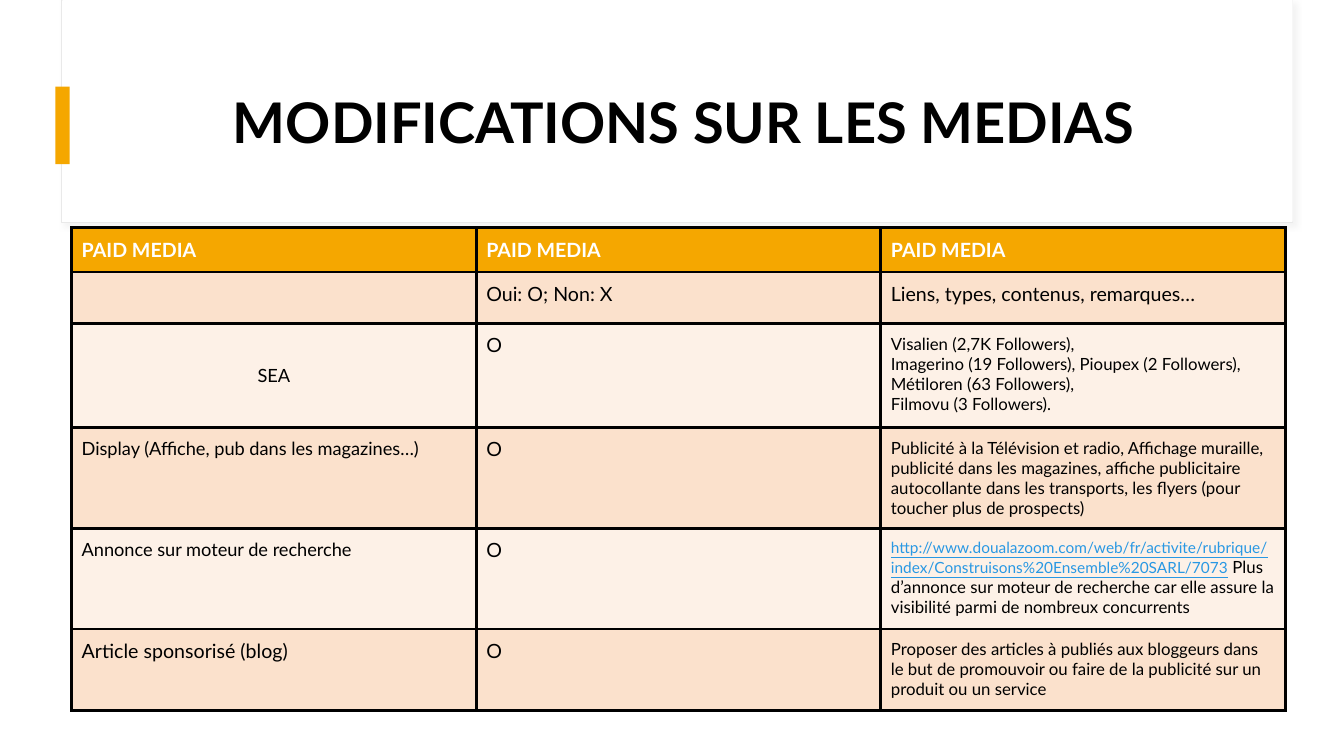
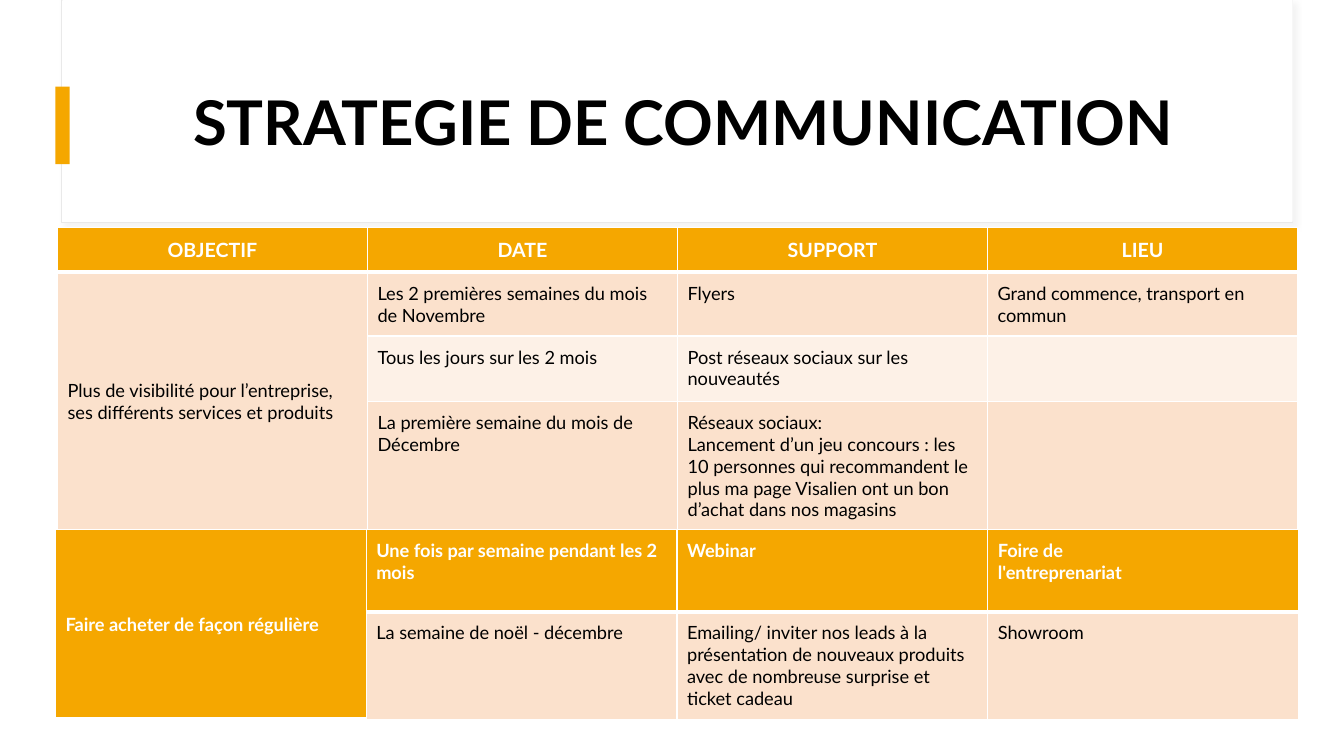
"""Build two slides on paid media and communication strategy, each with a framed title and tables."""
from lxml import etree
from pptx import Presentation
from pptx import util as u
from pptx.dml.color import RGBColor
from pptx.enum import shapes, text
from pptx.oxml.ns import qn

COLORS = {
    "amber": "F5A700", "peach": "FBE1CC", "cream": "FDF1E7", "white": "FFFFFF",
    "black": "000000", "frame": "E9E9E9", "shadow": "D9D9D9", "link": "2998E3",
}
FONT = "Lato"
ROW_STYLES = {
    "head": ("amber", "white", True),
    "dark": ("peach", "black", False),
    "light": ("cream", "black", False),
}
BANDS = [
    ((0.61, 0, 12.21, 2.21), "white", "frame"),
    ((0.62, 0, 12.2, 2.2), "white", None),
    ((0.55, 0.86, 0.14, 0.77), "amber", None),
]
TITLE_BOX = (1.22, 0.6, 11.12, 1.29)
LINK = "http://www.doualazoom.com/web/fr/activite/rubrique/index/Construisons%20Ensemble%20SARL/7073"

MEDIA = {
    "box": (0.71, 2.26, 12.04),
    "border": ("black", 2.25, 2.25),
    "centred": {(2, 0)},
    "middle": {(2, 0)},
    "rows": [
        ("head", 0.44, (14, 14, 14), ["PAID MEDIA", "PAID MEDIA", "PAID MEDIA"]),
        ("dark", 0.51, (14, 14, 14), ["", "Oui: O; Non: X", "Liens, types, contenus, remarques…"]),
        ("light", 1.03, (13, 14, 12), ["SEA", "O",
            "Visalien (2,7K Followers),\n"
            "Imagerino (19 Followers), Pioupex (2 Followers), Métiloren (63 Followers),\n"
            "Filmovu (3 Followers)."]),
        ("dark", 1.0, (13, 14, 12), ["Display (Affiche, pub dans les magazines…)", "O",
            "Publicité à la Télévision et radio, Affichage muraille, publicité dans les magazines, "
            "affiche publicitaire autocollante dans les transports, les flyers (pour toucher plus de prospects)"]),
        ("light", 1.0, (13, 14, 12), ["Annonce sur moteur de recherche", "O",
            LINK + " Plus d’annonce sur moteur de recherche car elle assure la visibilité "
            "parmi de nombreux concurrents"]),
        ("dark", 0.81, (14, 14, 12), ["Article sponsorisé (blog)", "O",
            "Proposer des articles à publiés aux bloggeurs dans le but de promouvoir "
            "ou faire de la publicité sur un produit ou un service"]),
    ],
}
VISIBILITY = {
    "box": (0.57, 2.26, 12.3),
    "border": ("white", 1, 3),
    "centred": {(0, c) for c in range(4)},
    "middle": {(1, 0)},
    "merge": (1, 3),
    "rows": [
        ("head", 0.44, (14,) * 4, ["OBJECTIF", "DATE", "SUPPORT", "LIEU"]),
        ("dark", 0.63, (13,) * 4, ["Plus de visibilité pour l’entreprise, ses différents services et produits",
            "Les 2 premières semaines du mois de Novembre", "Flyers", "Grand commence, transport en commun"]),
        ("light", 0.65, (13,) * 4, ["", "Tous les jours sur les 2 mois",
            "Post réseaux sociaux sur les nouveautés", ""]),
        ("dark", 1.27, (13,) * 4, ["", "La première semaine du mois de Décembre",
            "Réseaux sociaux:\nLancement d’un jeu concours : les 10 personnes qui recommandent le plus "
            "ma page Visalien ont un bon d’achat dans nos magasins", ""]),
    ],
}
LOYALTY = {
    "box": (0.55, 5.25, 12.33),
    "border": ("white", 1, 3),
    "centred": set(),
    "middle": {(0, 0)},
    "merge": (0, 1),
    "rows": [
        ("head", 0.82, (13,) * 4, ["Faire acheter de façon régulière",
            "Une fois par semaine pendant les 2 mois", "Webinar", "Foire de\nl'entreprenariat"]),
        ("dark", 1.06, (13,) * 4, ["", "La semaine de noël - décembre",
            "Emailing/ inviter nos leads à la présentation de nouveaux produits "
            "avec de nombreuse surprise et ticket cadeau", "Showroom"]),
    ],
}
SLIDES = [
    ("MODIFICATIONS SUR LES MEDIAS", 40, [MEDIA]),
    ("STRATEGIE DE COMMUNICATION", 44, [VISIBILITY, LOYALTY]),
]


def rgb(name):
    return RGBColor.from_string(COLORS[name])


def inches(values):
    return [u.Inches(v) for v in values]


def style(font, size, color, bold):
    font.name, font.size, font.bold = FONT, u.Pt(size), bold
    font.color.rgb = rgb(color)


def add_color(parent, name):
    return etree.SubElement(parent, qn("a:srgbClr"), val=COLORS[name])


def add_shadow(sp):
    effects = sp.element.spPr.find(qn("a:effectLst"))
    shadow = etree.SubElement(effects, qn("a:outerShdw"), blurRad=str(u.Pt(4)),
                              dist=str(u.Pt(3)), dir=str(45 * 60000))
    etree.SubElement(add_color(shadow, "shadow"), qn("a:alpha"), val="30000")


def build_layout(prs):
    layout = prs.slide_layouts.get_by_name("Title Only")
    for ph in list(layout.placeholders)[1:]:
        ph.element.getparent().remove(ph.element)
    title = layout.placeholders[0]
    title.left, title.top, title.width, title.height = inches(TITLE_BOX)
    return layout


def add_bands(slide, layout):
    bands = []
    for box, fill, line in BANDS:
        sp = slide.shapes.add_shape(shapes.MSO_SHAPE.RECTANGLE, *inches(box))
        sp.shadow.inherit = False
        sp.fill.solid()
        sp.fill.fore_color.rgb = rgb(fill)
        if line:
            sp.line.color.rgb = rgb(line)
            sp.line.width = u.Pt(0.75)
            add_shadow(sp)
        else:
            sp.line.fill.background()
        bands.append(sp)
    for sp in bands:
        layout.placeholders[0].element.addprevious(sp.element)


def set_title(slide, words, size):
    tf = slide.shapes.title.text_frame
    tf.text = words
    tf.word_wrap = True
    tf.vertical_anchor = text.MSO_ANCHOR.MIDDLE
    p = tf.paragraphs[0]
    p.alignment = text.PP_ALIGN.CENTER
    p.line_spacing = 0.9
    style(p.runs[0].font, size, "black", True)


def set_borders(cell, color, widths):
    tc_pr = cell._tc.get_or_add_tcPr()
    for side, width in widths.items():
        ln = etree.SubElement(tc_pr, qn("a:ln" + side), w=str(u.Pt(width)))
        add_color(etree.SubElement(ln, qn("a:solidFill")), color)


def write_cell(cell, words, size, color, bold):
    tf = cell.text_frame
    if words.startswith(LINK):
        p = tf.paragraphs[0]
        for part in (LINK, words[len(LINK):]):
            p.add_run().text = part
    else:
        tf.text = words
    for p in tf.paragraphs:
        for r in p.runs:
            style(r.font, size, color, bold)
            if r.text == LINK:
                style(r.font, 11, "link", bold)
                r.font.underline = True


def add_table(slide, data):
    rows = data["rows"]
    left, top, width = data["box"]
    n_cols = len(rows[0][3])
    height = sum(row[1] for row in rows)
    table = slide.shapes.add_table(len(rows), n_cols, *inches((left, top, width, height))).table
    border, thin, thick = data["border"]
    for col in table.columns:
        col.width = u.Inches(width / n_cols)
    for i, (kind, row_height, sizes, words) in enumerate(rows):
        fill, color, bold = ROW_STYLES[kind]
        table.rows[i].height = u.Inches(row_height)
        widths = {"L": thin, "R": thin, "T": thick if i == 1 else thin, "B": thick if i == 0 else thin}
        for j, value in enumerate(words):
            cell = table.cell(i, j)
            cell.margin_left = cell.margin_right = cell.margin_top = cell.margin_bottom = u.Inches(0.1)
            set_borders(cell, border, widths)
            cell.fill.solid()
            cell.fill.fore_color.rgb = rgb(fill)
            write_cell(cell, value, sizes[j], color, bold)
            if (i, j) in data["middle"]:
                cell.vertical_anchor = text.MSO_ANCHOR.MIDDLE
            if (i, j) in data["centred"]:
                cell.text_frame.paragraphs[0].alignment = text.PP_ALIGN.CENTER
    if "merge" in data:
        first, last = data["merge"]
        table.cell(first, 0).merge(table.cell(last, 0))


def main():
    prs = Presentation()
    prs.slide_width, prs.slide_height = inches((13.33, 7.5))
    layout = build_layout(prs)
    for i, (title, size, tables) in enumerate(SLIDES):
        slide = prs.slides.add_slide(layout)
        if i == 0:
            add_bands(slide, layout)
        set_title(slide, title, size)
        for data in tables:
            add_table(slide, data)
    prs.save("out.pptx")


if __name__ == "__main__":
    main()
